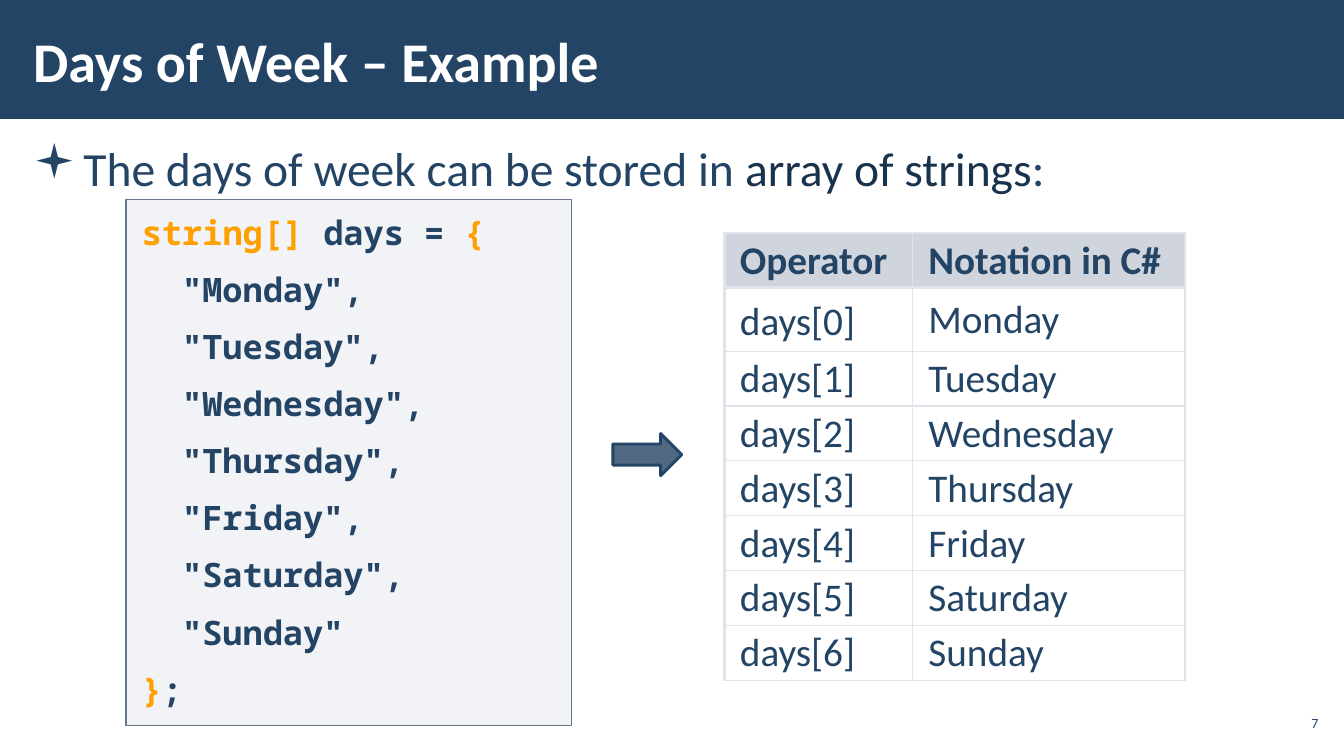
from lxml import etree
from pptx import Presentation
from pptx.dml.color import RGBColor
from pptx.enum.shapes import MSO_SHAPE as Shape
from pptx.enum.text import MSO_ANCHOR as Anchor, MSO_AUTO_SIZE as Fit, PP_ALIGN as Align
from pptx.oxml import parse_xml
from pptx.oxml.ns import nsdecls, qn
from pptx.util import Pt

THEME = {
    "navy": "234465", "deep": "1A334C", "amber": "FFA000", "white": "FFFFFF",
    "panel": "ADB4C3", "panel_line": "67748E", "header": "A3ABBC", "grid": "E0E3E9",
    "sans": "Calibri", "mono": "Noto Sans Mono",
    "title": 40, "body": 34, "cell": 28, "code": 24, "number": 10,
}


def write(para, spans, size, font="sans", bold=False, **layout):
    """Fill a paragraph with (text, colour) spans and set its layout."""
    for name, value in layout.items():
        setattr(para, name, value)
    for text, colour in spans:
        span = para.add_run()
        span.text = text
        formats = {"size": Pt(THEME[size]), "name": THEME[font], "bold": bold}
        for name, value in formats.items():
            setattr(span.font, name, value)
        span.font.color.rgb = RGBColor.from_string(THEME[colour])


def frame_text(box, inset_x, inset_y, anchor=Anchor.TOP, fit=Fit.NONE):
    """Set wrapping, insets and anchor, and return the text frame."""
    frame = box.text_frame
    formats = {
        "word_wrap": True, "auto_size": fit, "vertical_anchor": anchor,
        "margin_left": Pt(inset_x), "margin_right": Pt(inset_x),
        "margin_top": Pt(inset_y), "margin_bottom": Pt(inset_y),
    }
    for name, value in formats.items():
        setattr(frame, name, value)
    return frame


deck = Presentation()
deck.slide_width, deck.slide_height = Pt(960), Pt(540)
page = deck.slides.add_slide(deck.slide_layouts[5])

# Preset shapes: title band, code panel, arrow
shapes = {}
for name, preset, place, fill, opacity, line, weight in [
    ("band", Shape.RECTANGLE, (0, -1.4, 960, 86.4), "navy", 100, None, 0),
    ("code", Shape.RECTANGLE, (90, 142.5, 318.3, 375.8), "panel", 15, "panel_line", 1),
    ("arrow", Shape.RIGHT_ARROW, (437.8, 309.6, 49.2, 30.2), "navy", 80, "navy", 2),
]:
    shape = page.shapes.add_shape(preset, *map(Pt, place))
    shape.shadow.inherit = False
    shape.fill.solid()
    shape.fill.fore_color.rgb = RGBColor.from_string(THEME[fill])
    colour = shape.element.spPr.find(qn("a:solidFill")).find(qn("a:srgbClr"))
    etree.SubElement(colour, qn("a:alpha"), val=str(opacity * 1000))
    if line:
        shape.line.color.rgb = RGBColor.from_string(THEME[line])
        shape.line.width = Pt(weight)
    else:
        shape.line.fill.background()
    shapes[name] = shape
page.shapes.element.insert(2, shapes["band"].element)

# Title
title = page.shapes.title
for name, value in {"left": 15.1, "top": 7.9, "width": 748, "height": 69.8}.items():
    setattr(title, name, Pt(value))
frame = frame_text(title, 8.5, 2.8, Anchor.MIDDLE)
write(frame.paragraphs[0], [("Days of Week – Example", "white")], "title",
      bold=True, alignment=Align.LEFT)

# Bullet line
body = page.shapes.add_textbox(*map(Pt, (15.1, 94.3, 929.5, 408.2)))
para = frame_text(body, 8.5, 2.8).paragraphs[0]
write(para, [("The days of week can be stored in ", "navy"),
             ("array of strings", "deep"), (":", "navy")], "body",
      line_spacing=1.05, space_before=Pt(6), space_after=Pt(6))
bullet = para._p.get_or_add_pPr()
bullet.set("marL", str(Pt(36)))
bullet.set("indent", str(Pt(-36)))
etree.SubElement(bullet, qn("a:buFont"), typeface="Wingdings")
etree.SubElement(bullet, qn("a:buChar"), char="▪")

# Code, with the array items indented by two characters
days = ["Monday", "Tuesday", "Wednesday", "Thursday", "Friday", "Saturday", "Sunday"]
items = [[(f'"{day}"' + ("," if day != days[-1] else ""), "navy")] for day in days]
lines = [[("string[]", "amber"), (" days = ", "navy"), ("{", "amber")],
         *items, [("}", "amber"), (";", "navy")]]
frame = frame_text(shapes["code"], 11.3, 8.5, fit=Fit.SHAPE_TO_FIT_TEXT)
for index, spans in enumerate(lines):
    para = frame.add_paragraph() if index else frame.paragraphs[0]
    write(para, spans, "code", "mono", True, alignment=Align.LEFT,
          space_before=Pt(6), space_after=Pt(6))
    if spans in items:
        para._p.get_or_add_pPr().set("marL", str(Pt(28.8)))

# Table of array elements
rows = [("Operator", "Notation in C#")]
rows += [(f"days[{index}]", day) for index, day in enumerate(days)]
holder = page.shapes.add_table(len(rows), 2, *map(Pt, (517.3, 166.4, 329.1, 319)))
table = holder.table
table.first_row = table.horz_banding = False
for column, width in zip(table.columns, (134.6, 194.5)):
    column.width = Pt(width)
for r, texts in enumerate(rows):
    table.rows[r].height = Pt(45.2 if r == 1 else 39.1)
    for c, text in enumerate(texts):
        cell = table.cell(r, c)
        formats = {"vertical_anchor": Anchor.MIDDLE,
                   "margin_left": Pt(11.3), "margin_right": Pt(11.3),
                   "margin_top": Pt(3.6), "margin_bottom": Pt(3.6)}
        for name, value in formats.items():
            setattr(cell, name, value)
        write(cell.text_frame.paragraphs[0], [(text, "navy")], "cell", bold=r == 0,
              line_spacing=Pt(38) if (r, c) == (1, 0) else 0.95)
        properties = cell._tc.get_or_add_tcPr()
        if r == 0:
            cell.fill.solid()
            cell.fill.fore_color.rgb = RGBColor.from_string(THEME["header"])
            colour = next(properties.iter(qn("a:srgbClr")))
            etree.SubElement(colour, qn("a:alpha"), val="50000")
        else:
            cell.fill.background()
        # Heavy lines frame the sides and the header; the rest are thin
        heavy = {"lnL": c == 0, "lnR": c == 1, "lnT": r < 2, "lnB": r == 0}
        for index, (side, thick) in enumerate(heavy.items()):
            properties.insert(index, parse_xml(
                f'<a:{side} {nsdecls("a")} w="{Pt(2.25 if thick else 1)}"><a:solidFill>'
                f'<a:srgbClr val="{THEME["grid"]}"/></a:solidFill></a:{side}>'))

# Page number
number = page.shapes.add_textbox(*map(Pt, (910.8, 504, 33.8, 24.5)))
frame = frame_text(number, 2.8, 2.8, Anchor.MIDDLE)
write(frame.paragraphs[0], [("7", "navy")], "number", alignment=Align.RIGHT)

deck.save("out.pptx")
